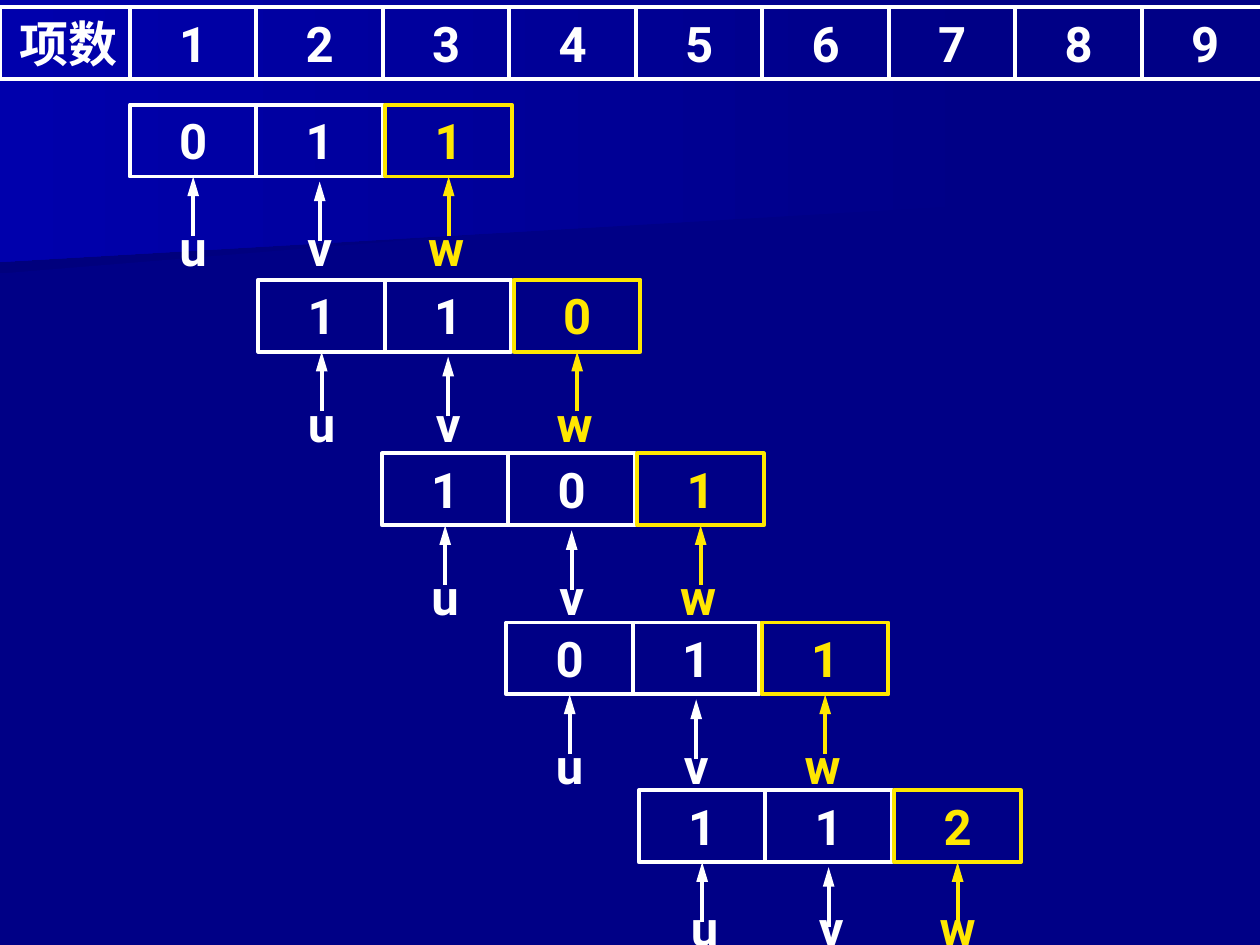
import pptx
import pptx.util
import pptx.dml.color
import pptx.enum.shapes
import pptx.enum.text
import pptx.oxml
import lxml.etree

Cm = pptx.util.Cm
Pt = pptx.util.Pt
ALIGN = pptx.enum.text.PP_ALIGN
WHITE, GOLD, NAVY = "FFFFFF", "FFE701", "000086"
STEP, HIGH = 2.55, 1.45


def tint(code):
    return pptx.dml.color.RGBColor.from_string(code)


def cell(text, left, top, wide, color, align=ALIGN.CENTER, framed=True):
    area = Cm(left), Cm(top), Cm(wide), Cm(HIGH)
    if framed:
        box = slide.shapes.add_shape(pptx.enum.shapes.MSO_SHAPE.RECTANGLE, *area)
        box.shadow.inherit = False
        box.fill.background()
        box.line.color.rgb = tint(color)
        box.line.width = Pt(2.25)
    else:
        box = slide.shapes.add_textbox(*area)
    frame = box.text_frame
    frame.word_wrap = True
    frame.auto_size = pptx.enum.text.MSO_AUTO_SIZE.SHAPE_TO_FIT_TEXT
    frame.vertical_anchor = pptx.enum.text.MSO_ANCHOR.TOP
    para = frame.paragraphs[0]
    para.alignment = align
    run = para.add_run()
    run.text = text
    run.font.name = "Roboto"
    run.font.size = Pt(28)
    run.font.bold = True
    run.font.color.rgb = tint(color)
    return box


deck = pptx.Presentation()
deck.slide_width = Cm(25.4)
deck.slide_height = Cm(19.05)
slide = deck.slides.add_slide(deck.slide_layouts[6])
slide.background.fill.solid()
slide.background.fill.fore_color.rgb = tint(NAVY)

beams = [
    ([(19.76, 3.89), (0, 5.51), (0, 2.57), (19.79, 2.57), (19.76, 3.25)], "00007D"),
    ([(20.12, 4.11), (0, 5.28), (0, 0), (20.12, 0)], "0000AC"),
]
for points, shade in beams:
    spots = [(Cm(x), Cm(y)) for x, y in points]
    path = slide.shapes.build_freeform(*spots[0])
    path.add_line_segments(spots[1:], close=True)
    beam = path.convert_to_shape()
    beam.shadow.inherit = False
    beam.line.fill.background()
    beam.fill.gradient()
    beam.fill.gradient_angle = 180
    for stop, code, place in zip(beam.fill.gradient_stops, (NAVY, shade), (0, 1)):
        stop.color.rgb = tint(code)
        stop.position = place

cell("项数", 0, 0.15, 2.62, WHITE, ALIGN.RIGHT)
for col in range(9):
    cell(str(col + 1), 2.62 + col * STEP, 0.15, STEP, WHITE)

rows = [
    ("011", 2.62, 2.11, 0, 2.16),
    ("110", 5.21, 5.64, 0, 2.16),
    ("101", 7.7, 9.14, 0, 2.16),
    ("011", 10.21, 12.55, 0, 2.16),
    ("112", 12.88, 15.93, 0.05, 2.03),
]
for digits, left, top, shift, drop in rows:
    for col, (digit, name) in enumerate(zip(digits, "uvw")):
        color = GOLD if name == "w" else WHITE
        start = left + col * STEP
        edge = start + (0.05 if name == "w" else 0)
        box = cell(digit, edge, top, STEP, color)
        cell(name, start + shift, top + drop, STEP, color, framed=False)

        gap = 0.1 if name == "v" else 0
        mid = box.left + box.width // 2
        tip = box.top + box.height + Cm(gap)
        arrow = slide.shapes.add_connector(
            pptx.enum.shapes.MSO_CONNECTOR.STRAIGHT, mid, tip + Cm(1.2), mid, tip
        )
        if not gap:
            arrow.end_connect(box, 2)
        arrow.line.color.rgb = tint(color)
        arrow.line.width = Pt(2.25)
        tail = lxml.etree.SubElement(
            arrow.line._get_or_add_ln(), pptx.oxml.ns.qn("a:tailEnd")
        )
        tail.set("type", "triangle")
        tail.set("w", "med")
        tail.set("len", "lg")
        props = arrow._element.spPr
        lxml.etree.SubElement(props, pptx.oxml.ns.qn("a:effectLst"))

deck.save("out.pptx")
